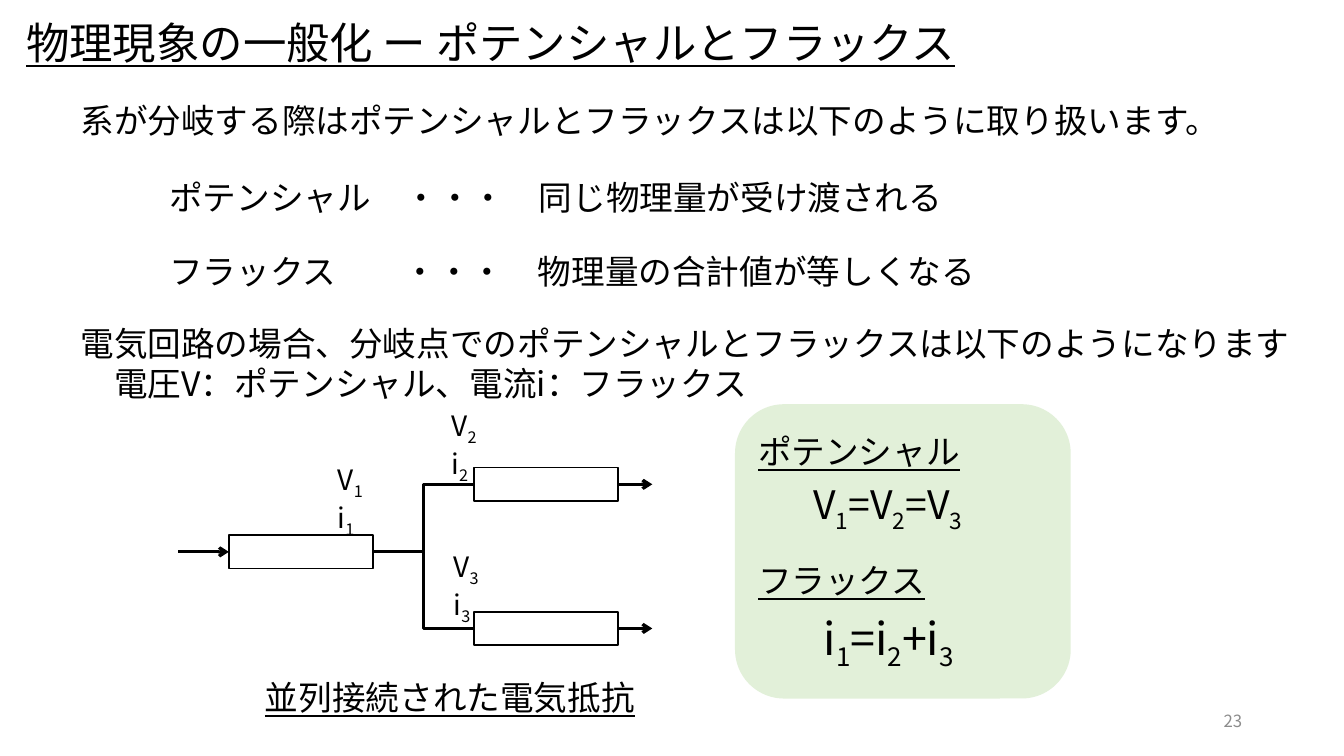
from lxml import etree
from pptx import Presentation
from pptx.dml.color import RGBColor
from pptx.enum.shapes import MSO_CONNECTOR, MSO_SHAPE
from pptx.enum.text import MSO_ANCHOR, MSO_AUTO_SIZE, PP_ALIGN
from pptx.oxml.ns import qn
from pptx.util import Inches, Pt

LINE, ELBOW = MSO_CONNECTOR.STRAIGHT, MSO_CONNECTOR.ELBOW
RECT, ROUND = MSO_SHAPE.RECTANGLE, MSO_SHAPE.ROUNDED_RECTANGLE
LEFT, MID, RIGHT = PP_ALIGN.LEFT, PP_ALIGN.CENTER, PP_ALIGN.RIGHT

FONT = "Noto Sans CJK JP"
COLOR = {"ink": "000000", "paper": "FFFFFF", "panel": "E2F0D9", "page": "8C8C8C"}
CELL = Inches(0.1)

TITLE = "物理現象の一般化 ー ポテンシャルとフラックス"
BODY = [
    ((7, 9.4, 124.5, 5), ["系が分岐する際はポテンシャルとフラックスは以下のように取り扱います。"]),
    ((7, 31.5, 124.5, 9.1), [
        "電気回路の場合、分岐点でのポテンシャルとフラックスは以下のようになります",
        "　電圧V：ポテンシャル、電流i：フラックス"]),
]
TERMS = [
    ((15.8, 17.1, 79.4, 5), "ポテンシャル　・・・　同じ物理量が受け渡される"),
    ((15.8, 24.4, 82.8, 5), "フラックス　　・・・　物理量の合計値が等しくなる"),
]
HEADS = [
    ((25.3, 66.7, 39, 5), "並列接続された電気抵抗"),
    ((74.2, 42.3, 22.2, 5), "ポテンシャル"),
    ((74.2, 55.1, 18.8, 5), "フラックス"),
]
PANEL = (72.9, 40.1, 33.3, 29.2)
UNIT = (14.3, 3.3)
UNITS = [(22.7, 53.1), (47, 46.4), (47, 60.7)]
LABELS = [(32.5, 45.4), (43.8, 40), (44, 54)]
LEAD_IN, LEAD_OUT = 5, 3.4

deck = Presentation()
deck.slide_width, deck.slide_height = Inches(13.33), Inches(7.5)
slide = deck.slides.add_slide(deck.slide_layouts[5])
shapes = slide.shapes


def grid(*cells):
    return [round(n * CELL) for n in cells]


def style(run, size, color, under, sub):
    font = run.font
    font.name, font.size = FONT, Pt(size)
    font.color.rgb = RGBColor.from_string(COLOR[color])
    if under:
        font.underline = True
    props = run._r.get_or_add_rPr()
    if sub:
        props.set("baseline", "-25000")
    etree.SubElement(props, qn("a:ea")).set("typeface", FONT)


def write(frame, lines, size=24, color="ink", under=False, align=LEFT):
    for i, line in enumerate(lines):
        para = frame.add_paragraph() if i else frame.paragraphs[0]
        para.alignment = align
        first, *rest = line.split("_")
        parts = [(first, False)]
        for bit in rest:
            parts += [(bit[0], True), (bit[1:], False)]
        for text, sub in parts:
            if text:
                run = para.add_run()
                run.text = text
                style(run, size, color, under, sub)


def label(box, lines, wrap=False, grow=True, **look):
    frame = shapes.add_textbox(*grid(*box)).text_frame
    frame.word_wrap = wrap
    frame.auto_size = MSO_AUTO_SIZE.SHAPE_TO_FIT_TEXT if grow else MSO_AUTO_SIZE.NONE
    write(frame, lines, **look)
    return frame


def block(kind, box, fill, edge=None):
    shape = shapes.add_shape(kind, *grid(*box))
    shape.shadow.inherit = False
    shape.fill.solid()
    shape.fill.fore_color.rgb = RGBColor.from_string(COLOR[fill])
    if edge:
        shape.line.color.rgb = RGBColor.from_string(COLOR[edge])
        shape.line.width = Pt(1)
    else:
        shape.line.fill.background()
    return shape


def wire(kind, start, end, arrow=False):
    link = shapes.add_connector(kind, *grid(*start, *end))
    link.line.color.rgb = RGBColor.from_string(COLOR["ink"])
    link.line.width = Pt(2.25)
    if arrow:
        etree.SubElement(link.line._get_or_add_ln(), qn("a:tailEnd")).set("type", "arrow")
    etree.SubElement(link._element.spPr, qn("a:effectLst"))
    return link


block(ROUND, PANEL, "panel")

title = shapes.title
title.left, title.top, title.width, title.height = grid(2, 1, 94.4, 6.3)
frame = title.text_frame
frame.word_wrap = False
frame.auto_size = MSO_AUTO_SIZE.SHAPE_TO_FIT_TEXT
frame.vertical_anchor = MSO_ANCHOR.MIDDLE
frame.margin_left = frame.margin_right = Inches(0.06)
frame.margin_top = frame.margin_bottom = Inches(0.06)
write(frame, [TITLE], size=31, under=True)

wide, high = UNIT
units = [block(RECT, (*at, *UNIT), "paper", "ink") for at in UNITS]
source, *branches = units
x, y = UNITS[0]
y += high / 2
lead = wire(LINE, (x - LEAD_IN, y), (x, y), True)
lead.end_connect(source, 1)
for unit, (left, top) in zip(branches, UNITS[1:]):
    mid = top + high / 2
    fork = wire(ELBOW, (x + wide, y), (left, mid))
    fork.begin_connect(source, 3)
    fork.end_connect(unit, 1)
    exit = wire(LINE, (left + wide, mid), (left + wide + LEAD_OUT, mid), True)
    exit.begin_connect(unit, 3)

for box, lines in BODY:
    label(box, lines, wrap=True)
for box, text in TERMS:
    label(box, [text])
for box, text in HEADS:
    label(box, [text], under=True)
for n, at in enumerate(LABELS, 1):
    label((*at, 4.9, 7.7), [f"V_{n}", f"i_{n}"], size=20)
label((79.7, 47.2, 19.7, 5.7), ["V_1=V_2=V_3"], size=28)
label((76.6, 60.1, 23.1, 6.4), ["i_1=i_2+i_3"], wrap=True, size=32, align=MID)
page = label((94.2, 69.5, 30, 4), ["23"], wrap=True, grow=False,
             size=12, color="page", align=RIGHT)
page.vertical_anchor = MSO_ANCHOR.MIDDLE

deck.save("out.pptx")
